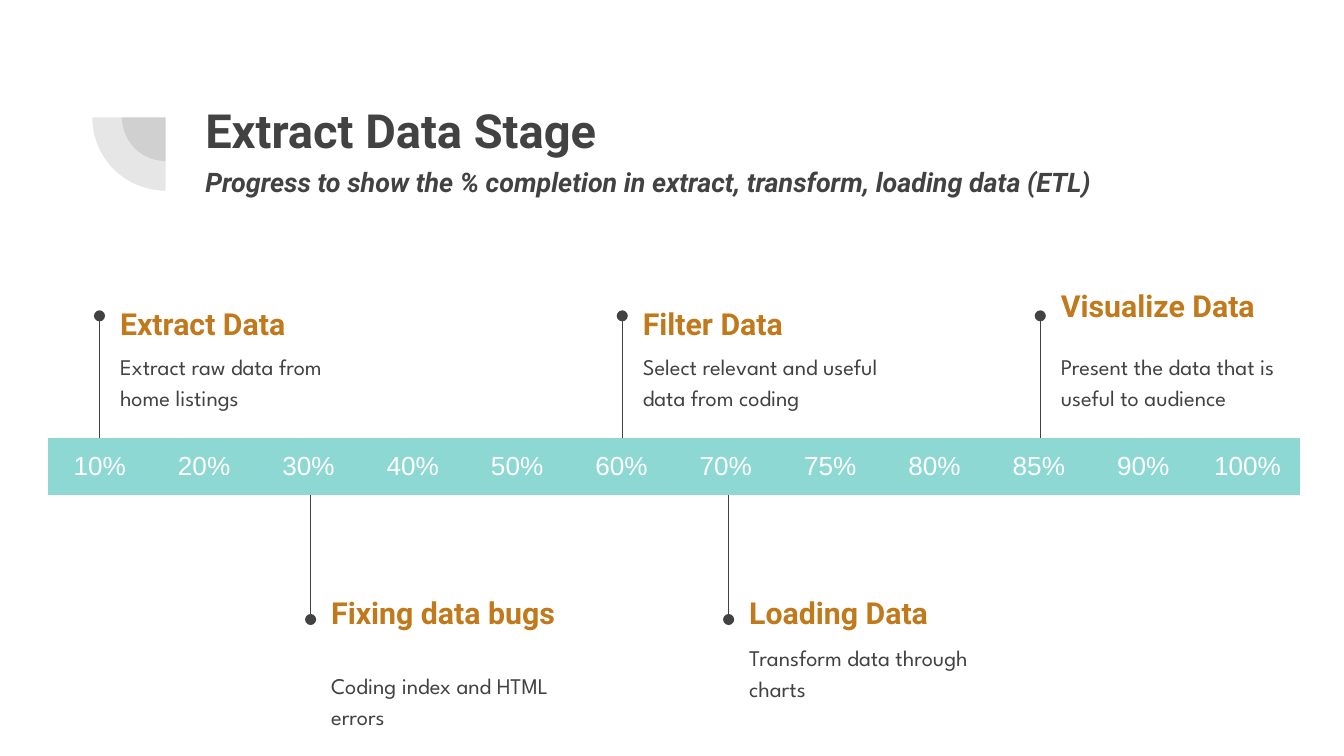
from dataclasses import dataclass

from pptx import Presentation
from pptx.dml.color import RGBColor
from pptx.enum.shapes import MSO_CONNECTOR, MSO_SHAPE
from pptx.enum.text import MSO_ANCHOR, MSO_AUTO_SIZE, PP_ALIGN
from pptx.oxml.ns import qn
from pptx.oxml.xmlchemy import OxmlElement
from pptx.slide import Slide
from pptx.text.text import TextFrame
from pptx.util import Cm, Pt

COLORS = {"ink": "424242", "gold": "C0791B", "teal": "8DD8D3", "white": "FFFFFF"}
PAD = 0.25
MARKS = (10, 20, 30, 40, 50, 60, 70, 75, 80, 85, 90, 100)
BAR_TOP, BAR_H = 8.28, 1.08


@dataclass
class Step:
    head: str
    note: str
    x: float
    tip: float
    head_y: float
    note_y: float


STEPS = [
    Step("Extract Data", "Extract raw data from home listings", 1.88, 5.97, 5.56, 6.35),
    Step("Fixing data bugs", "Coding index and HTML errors", 5.87, 11.71, 11.03, 12.38),
    Step("Filter Data", "Select relevant and useful data from coding", 11.76, 5.97, 5.56, 6.35),
    Step("Loading Data", "Transform data through charts", 13.77, 11.71, 11.03, 11.85),
    Step("Visualize Data", "Present the data that is useful to audience", 19.66, 5.97, 5.22, 6.35),
]


def color(name: str) -> RGBColor:
    return RGBColor.from_string(COLORS[name])


def style(par, face: str, size: float, tint: str, bold: bool = False, slant: bool = False) -> None:
    font = par.font
    font.name, font.size, font.bold, font.italic = face, Pt(size), bold, slant
    font.color.rgb = color(tint)


def set_frame(frame: TextFrame, anchor: MSO_ANCHOR) -> None:
    frame.word_wrap = True
    frame.auto_size = MSO_AUTO_SIZE.NONE
    frame.vertical_anchor = anchor
    frame.margin_left = frame.margin_right = Cm(PAD)
    frame.margin_top = frame.margin_bottom = Cm(PAD)


def add_text(slide: Slide, text: str, x: float, y: float, height: float, anchor: MSO_ANCHOR):
    """Add a one-paragraph box and return its paragraph."""
    box = slide.shapes.add_textbox(Cm(x), Cm(y), Cm(5.03), Cm(height))
    set_frame(box.text_frame, anchor)
    par = box.text_frame.paragraphs[0]
    par.text = text
    return par


def add_pie(slide: Slide, size: float) -> None:
    """Add a pale quarter disc, open to the lower left."""
    mid_x, mid_y = 3.13, 2.22
    pie = slide.shapes.add_shape(
        MSO_SHAPE.PIE, Cm(mid_x - size / 2), Cm(mid_y - size / 2), Cm(size), Cm(size))
    pie.adjustments[0], pie.adjustments[1] = 54, 108
    pie.shadow.inherit = False
    pie.line.fill.background()
    pie.fill.solid()
    pie.fill.fore_color.rgb = color("ink")
    alpha = OxmlElement("a:alpha")
    alpha.set("val", "13000")
    pie.fill._xPr.find(".//" + qn("a:srgbClr")).append(alpha)


def add_title(slide: Slide) -> None:
    title = slide.shapes.title
    title.left, title.top, title.width, title.height = Cm(3.63), Cm(1.67), Cm(20), Cm(2.8)
    frame = title.text_frame
    set_frame(frame, MSO_ANCHOR.TOP)
    head = frame.paragraphs[0]
    head.text = "Extract Data Stage"
    style(head, "Roboto", 25.2, "ink", bold=True)
    sub = frame.add_paragraph()
    sub.text = "Progress to show the % completion in extract, transform, loading data (ETL)"
    sub.space_before = sub.space_after = Pt(4)
    style(sub, "Roboto", 14.4, "ink", bold=True, slant=True)
    for par in frame.paragraphs:
        par.alignment = PP_ALIGN.LEFT


def add_step(slide: Slide, step: Step) -> None:
    foot = BAR_TOP if step.tip < BAR_TOP else BAR_TOP + BAR_H
    pin = slide.shapes.add_connector(
        MSO_CONNECTOR.STRAIGHT, Cm(step.x), Cm(foot), Cm(step.x), Cm(step.tip))
    pin.line.color.rgb = color("ink")
    pin.line.width = Pt(0.75)
    dot = OxmlElement("a:tailEnd")
    dot.set("type", "oval")
    pin.line._get_or_add_ln().append(dot)
    pin._element.spPr.append(OxmlElement("a:effectLst"))

    left = step.x + 0.14
    head = add_text(slide, step.head, left, step.head_y, 1.09, MSO_ANCHOR.MIDDLE)
    style(head, "Roboto", 16.2, "gold", bold=True)
    note = add_text(slide, step.note, left, step.note_y, 1.6, MSO_ANCHOR.TOP)
    note.line_spacing = 1.15
    note.space_after = Pt(12)
    style(note, "League Spartan", 12, "ink")


def add_bar(slide: Slide) -> None:
    table = slide.shapes.add_table(
        1, len(MARKS), Cm(0.9), Cm(BAR_TOP), Cm(23.67), Cm(BAR_H)).table
    table.first_row = table.horz_banding = False
    plain = "{2D5ABB26-0587-4C30-8999-92F81FD0307C}"
    table._tbl.tblPr.find(qn("a:tableStyleId")).text = plain
    for cell, mark in zip(table.iter_cells(), MARKS):
        cell.fill.solid()
        cell.fill.fore_color.rgb = color("teal")
        cell.margin_left = cell.margin_right = Cm(PAD)
        cell.margin_top = cell.margin_bottom = Cm(PAD)
        par = cell.text_frame.paragraphs[0]
        par.text = f"{mark}%"
        par.alignment = PP_ALIGN.CENTER
        style(par, "Arial", 14, "white")


def main() -> None:
    deck = Presentation()
    deck.slide_width, deck.slide_height = Cm(25.4), Cm(14.29)
    slide = deck.slides.add_slide(deck.slide_layouts[5])
    for size in (1.65, 2.77):
        add_pie(slide, size)
    add_title(slide)
    for step in STEPS:
        add_step(slide, step)
    add_bar(slide)
    deck.save("out.pptx")


if __name__ == "__main__":
    main()
